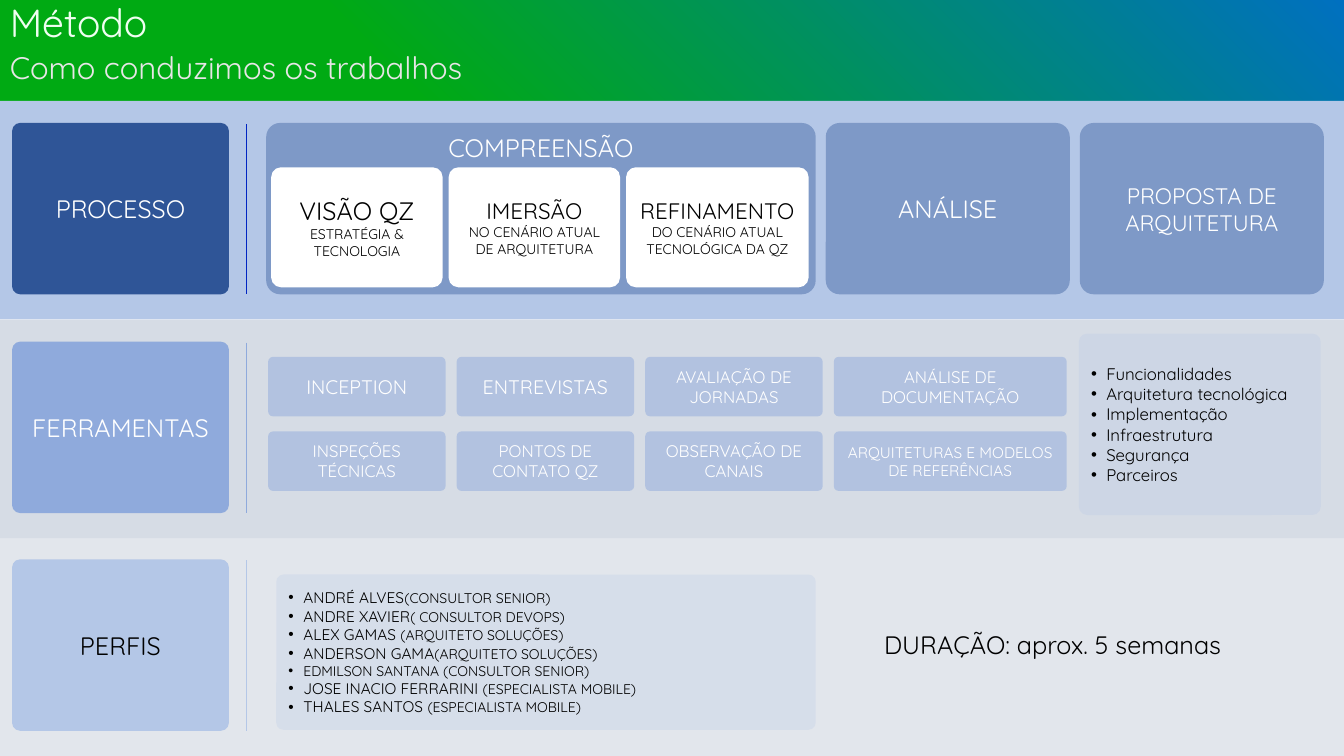
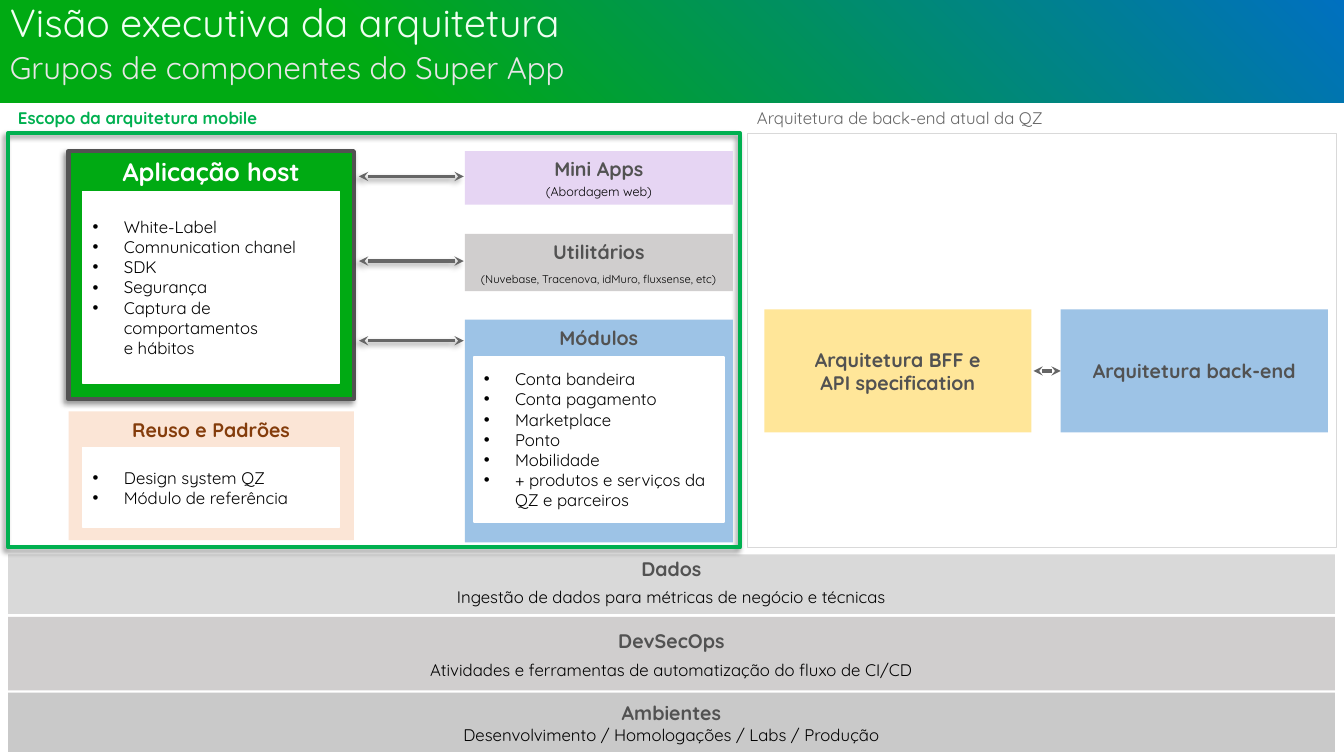
from lxml.etree import SubElement
from pptx import Presentation
from pptx.dml.color import RGBColor
from pptx.enum.shapes import MSO_CONNECTOR, MSO_SHAPE
from pptx.enum.text import MSO_ANCHOR, PP_ALIGN
from pptx.oxml import parse_xml
from pptx.oxml.ns import nsdecls, qn
from pptx.util import Inches, Pt

FONT = "Quicksand"
WIDTH, HEIGHT = 13.33, 7.5
WHITE, BLACK, GREY, DARK = "FFFFFF", "000000", "666666", "525252"
GREEN, LINE_GREEN, BLUE = "00AA13", "00B050", "0070C0"
NAVY, STEEL, SKY, MIST = "2F5597", "8FAADC", "B4C7E7", "D6DCE5"
CYAN, SILVER, SMOKE = "9DC3E6", "D0CECE", "D9D9D9"
TOP, MIDDLE = MSO_ANCHOR.TOP, MSO_ANCHOR.MIDDLE
LEFT, CENTER = PP_ALIGN.LEFT, PP_ALIGN.CENTER


def rgb(value):
    """Turn a hex string into a colour."""
    return RGBColor.from_string(value)


def write(sp, paragraphs, size, color, bold=False, align=CENTER, anchor=MIDDLE,
          indent=None, spacing=None):
    """Write paragraphs, each a string or a list of (text, size) runs."""
    tf = sp.text_frame
    tf.word_wrap = True
    tf.vertical_anchor = anchor
    for i, item in enumerate(paragraphs):
        p = tf.paragraphs[0] if i == 0 else tf.add_paragraph()
        p.alignment = align
        if spacing:
            p.line_spacing = spacing
        if indent:
            pPr = p._p.get_or_add_pPr()
            pPr.set("marL", str(Inches(indent)))
            pPr.set("indent", str(-Inches(indent)))
            SubElement(pPr, qn("a:buFont"), typeface="Arial")
            SubElement(pPr, qn("a:buChar"), char="•")
        parts = [(item, size)] if isinstance(item, str) else item
        p.text = parts[0][0]
        for text, _ in parts[1:]:
            p.add_run().text = text
        sizes = [part[1] for part in parts] if len(parts) > 1 else [parts[0][1]] * len(p.runs)
        for r, run_size in zip(p.runs, sizes):
            r.font.name = FONT
            r.font.size = Pt(run_size)
            r.font.bold = bold
            r.font.color.rgb = rgb(color)


def add_text(s, box, text, size, color, **style):
    """Add a text box holding one paragraph."""
    tb = s.shapes.add_textbox(*map(Inches, box))
    write(tb, [text], size, color, **style)


def cast_shadow(effects):
    """Add the soft outer shadow to an effect list."""
    shadow = SubElement(effects, qn("a:outerShdw"), blurRad=str(Pt(4)), dist=str(Pt(3)),
                        dir="8100000", algn="tr", rotWithShape="0")
    tint = SubElement(shadow, qn("a:srgbClr"), val=BLACK)
    SubElement(tint, qn("a:alpha"), val="40000")


def add_box(s, box, fill=None, alpha=100, line=None, weight=1, corner=None, shadow=False):
    """Add a rectangle, rounded when a corner ratio is given."""
    kind = MSO_SHAPE.ROUNDED_RECTANGLE if corner else MSO_SHAPE.RECTANGLE
    sp = s.shapes.add_shape(kind, *map(Inches, box))
    if corner:
        sp.adjustments[0] = corner
    if fill:
        sp.fill.solid()
        sp.fill.fore_color.rgb = rgb(fill)
        if alpha < 100:
            tint = sp._element.spPr.find(qn("a:solidFill"))[0]
            SubElement(tint, qn("a:alpha"), val=str(alpha * 1000))
    else:
        sp.fill.background()
    if line:
        sp.line.color.rgb = rgb(line)
        sp.line.width = Pt(weight)
    else:
        sp.line.fill.background()
    sp.shadow.inherit = False
    if shadow:
        cast_shadow(sp._element.spPr.find(qn("a:effectLst")))
    return sp


def add_line(s, x1, y1, x2, y2, color, weight, arrows=False, shadow=False):
    """Add a straight line, with an arrowhead at both ends on request."""
    line = s.shapes.add_connector(MSO_CONNECTOR.STRAIGHT, *map(Inches, (x1, y1, x2, y2)))
    line.line.color.rgb = rgb(color)
    line.line.width = Pt(weight)
    spPr = line._element.spPr
    if arrows:
        for end in ("a:headEnd", "a:tailEnd"):
            SubElement(spPr.find(qn("a:ln")), qn(end), type="stealth")
    effects = SubElement(spPr, qn("a:effectLst"))
    if shadow:
        cast_shadow(effects)


def add_header(s, title, subtitle):
    """Draw the gradient band with the title and subtitle."""
    band = add_box(s, (0, -0.01, WIDTH, 1.03))
    spPr = band._element.spPr
    spPr.replace(spPr.find(qn("a:noFill")), parse_xml(
        f'<a:gradFill {nsdecls("a")} rotWithShape="1"><a:gsLst>'
        f'<a:gs pos="29000"><a:srgbClr val="{GREEN}"/></a:gs>'
        f'<a:gs pos="100000"><a:srgbClr val="{BLUE}"/></a:gs></a:gsLst>'
        '<a:path path="circle"><a:fillToRect t="100000" r="100000"/></a:path></a:gradFill>'))
    add_text(s, (0, 0, 10, 0.5), title, 28, "EFFFF1", align=LEFT, spacing=0.9)
    add_text(s, (0, 0.5, 10, 0.4), subtitle, 22.2, "E7E6E6", align=LEFT, anchor=TOP, spacing=0.8)


def add_row(s, top, label, band, alpha, card, color, divider):
    """Draw a full-width row with its label card and divider."""
    add_box(s, (0, top, WIDTH, 2.17), band, alpha)
    sp = add_box(s, (0.12, top + 0.22, 2.15, 1.7), card, corner=0.046)
    write(sp, [label], 18, color)
    add_line(s, 2.44, top + 0.23, 2.44, top + 1.92, divider, 0.5)


def add_process(s, top):
    """Fill the process row with phases and comprehension steps."""
    phases = [(2.64, 5.45, "COMPREENSÃO", 18, TOP), (8.19, 2.42, "ANÁLISE", 18, MIDDLE),
              (10.71, 2.42, "PROPOSTA DE\vARQUITETURA", 16, MIDDLE)]
    for x, w, text, size, anchor in phases:
        sp = add_box(s, (x, top + 0.22, w, 1.7), NAVY, 40, corner=0.081)
        write(sp, [text], size, WHITE, anchor=anchor)
    steps = [(1.7, "VISÃO QZ", 18, "ESTRATÉGIA & TECNOLOGIA"),
             (1.7, "IMERSÃO", 16, "NO CENÁRIO ATUAL DE ARQUITETURA"),
             (1.81, "REFINAMENTO", 16, "DO CENÁRIO ATUAL TECNOLÓGICA DA QZ")]
    for i, (w, name, size, detail) in enumerate(steps):
        sp = add_box(s, (2.69 + i * 1.76, top + 0.66, w, 1.19), WHITE, corner=0.081)
        write(sp, [[(name, size)], [(detail, 10)]], size, BLACK)


def add_tools(s, top):
    """Fill the tools row with a grid of tools and the deliverables list."""
    grid = [[("INCEPTION", 14), ("ENTREVISTAS", 14), ("AVALIAÇÃO DE JORNADAS", 12),
             ("ANÁLISE DE DOCUMENTAÇÃO", 12)],
            [("INSPEÇÕES TÉCNICAS", 12), ("PONTOS DE CONTATO QZ", 12),
             ("OBSERVAÇÃO DE CANAIS", 12), ("ARQUITETURAS E MODELOS DE REFERÊNCIAS", 11)]]
    for row, tools in enumerate(grid):
        for col, (text, size) in enumerate(tools):
            box = (2.66 + col * 1.87, top + 0.37 + row * 0.74, 2.31 if col == 3 else 1.76, 0.59)
            write(add_box(s, box, STEEL, 50, corner=0.081), [text], size, WHITE)
    sp = add_box(s, (10.7, top + 0.14, 2.4, 1.8), SKY, 25, corner=0.046)
    write(sp, ["Funcionalidades", "Arquitetura tecnológica", "Implementação",
               "Infraestrutura", "Segurança", "Parceiros"], 12, BLACK, align=LEFT, indent=0.15)


def add_profiles(s, top):
    """Fill the profiles row with the team and the duration."""
    team = [("ANDRÉ ALVES", "(CONSULTOR SENIOR)"), ("ANDRE XAVIER", "( CONSULTOR DEVOPS)"),
            ("ALEX GAMAS ", "(ARQUITETO SOLUÇÕES)"), ("ANDERSON GAMA", "(ARQUITETO SOLUÇÕES)"),
            ("EDMILSON SANTANA (CONSULTOR SENIOR)",),
            ("JOSE INACIO FERRARINI ", "(ESPECIALISTA MOBILE)"),
            ("THALES SANTOS ", "(ESPECIALISTA MOBILE)")]
    people = [list(zip(parts, (11, 10) if len(parts) > 1 else (10,))) for parts in team]
    sp = add_box(s, (2.74, top + 0.37, 5.35, 1.54), SKY, 25, corner=0.046)
    write(sp, people, 10, BLACK, align=LEFT, indent=0.15)
    add_text(s, (8.67, top + 0.86, 4.29, 0.4), "DURAÇÃO: aprox. 5 semanas", 18, BLACK,
             align=LEFT, anchor=TOP)


def add_card(s, box, fill, title, title_dy, detail, detail_dy, size):
    """Draw a filled card with a bold title and one line of detail."""
    x, y, w, _ = box
    add_box(s, box, fill)
    add_text(s, (x, y + title_dy, w, 0.34), title, 14, DARK, bold=True, anchor=TOP)
    add_text(s, (x, y + detail_dy, w, 0.3), detail, size, BLACK, anchor=TOP)


def add_panel(s, box, fill, title, size, color, title_dy, inner, items, **frame):
    """Draw a titled panel with a white bullet list at the inner offset and height."""
    x, y, w, _ = box
    dx, dy, h = inner
    add_box(s, box, fill, **frame)
    add_text(s, (x, y + title_dy, w, 0.4), title, size, color, bold=True, anchor=TOP)
    sp = add_box(s, (x + dx, y + dy, w - 2 * dx, h), WHITE, line=WHITE)
    write(sp, items, 12, BLACK, align=LEFT, indent=0.31)


def add_mobile(s, x, y):
    """Draw the mobile architecture scope."""
    add_text(s, (x, y - 0.3, 2.83, 0.3), "Escopo da arquitetura mobile", 12, LINE_GREEN,
             bold=True, align=LEFT, anchor=TOP)
    add_box(s, (x, y, 7.26, 4.11), line=LINE_GREEN, weight=3, shadow=True)
    left, right = x + 0.6, x + 4.53
    add_panel(s, (left, y + 0.18, 2.83, 2.46), GREEN, "Aplicação host", 18, WHITE, 0,
              (0.14, 0.4, 1.9),
              ["White-Label", "Comnunication chanel", "SDK", "Segurança",
               "Captura de comportamentos\ve hábitos"], line=DARK, weight=3, shadow=True)
    add_panel(s, (left, y + 2.76, 2.83, 1.28), "FBE5D6", "Reuso e Padrões", 14, "843C0B", 0.02,
              (0.14, 0.36, 0.79), ["Design system QZ", "Módulo de referência"])
    add_panel(s, (right, y + 1.85, 2.66, 2.21), CYAN, "Módulos", 14, DARK, 0.01,
              (0.09, 0.37, 1.64),
              ["Conta bandeira", "Conta pagamento", "Marketplace", "Ponto", "Mobilidade",
               "+ produtos e serviços da QZ e parceiros"])
    add_card(s, (right, y + 0.18, 2.66, 0.53), "E6D5F3", "Mini Apps", 0.01,
             "(Abordagem web)", 0.28, 9)
    add_card(s, (right, y + 1, 2.66, 0.57), SILVER, "Utilitários", 0.01,
             "(Nuvebase, Tracenova, idMuro, fluxsense, etc)", 0.33, 8)
    for dy in (0.43, 1.27, 2.06):
        add_line(s, x + 3.48, y + dy, x + 4.52, y + dy, GREY, 2.25, arrows=True, shadow=True)


def add_backend(s, x, y):
    """Draw the current back-end architecture."""
    add_text(s, (x, y - 0.3, 3.76, 0.3), "Arquitetura de back-end atual da QZ", 12, GREY,
             align=LEFT, anchor=TOP)
    add_box(s, (x, y, 5.84, 4.11), line=SMOKE, weight=0.25)
    for dx, fill, text in ((0.17, "FFE699", "Arquitetura BFF e\vAPI specification"),
                           (3.11, CYAN, "Arquitetura back-end")):
        sp = add_box(s, (x + dx, y + 1.75, 2.65, 1.22), fill)
        write(sp, [text], 14, DARK, bold=True)
    add_line(s, x + 2.84, y + 2.36, x + 3.11, y + 2.36, GREY, 2.25, arrows=True)


def add_foundations(s, x, w):
    """Draw the full-width strips at the foot."""
    strips = [(5.5, 0.59, SMOKE, "Dados", -0.02,
               "Ingestão de dados para métricas de negócio e técnicas", 0.27),
              (6.12, 0.73, SILVER, "DevSecOps", 0.07,
               "Atividades e ferramentas de automatização do fluxo de CI/CD", 0.38),
              (6.87, 0.59, "C9C9C9", "Ambientes", 0.03,
               "Desenvolvimento / Homologações / Labs / Produção", 0.27)]
    for y, h, *content in strips:
        add_card(s, (x, y, w, h), *content, 12)


def build_method(s):
    """Build the method slide."""
    add_header(s, "Método", "Como conduzimos os trabalhos")
    rows = [(1, "PROCESSO", SKY, 100, NAVY, WHITE, "0024C2", add_process),
            (3.17, "FERRAMENTAS", MIST, 100, STEEL, WHITE, STEEL, add_tools),
            (5.33, "PERFIS", MIST, 70, SKY, BLACK, SKY, add_profiles)]
    for top, *look, fill_row in rows:
        add_row(s, top, *look)
        fill_row(s, top)


def build_architecture(s):
    """Build the architecture slide."""
    add_header(s, "Visão executiva da arquitetura", "Grupos de componentes do Super App")
    add_foundations(s, 0.08, 13.16)
    add_mobile(s, 0.08, 1.32)
    add_backend(s, 7.41, 1.32)


def main():
    """Build and save the presentation."""
    prs = Presentation()
    prs.slide_width, prs.slide_height = Inches(WIDTH), Inches(HEIGHT)
    for build in (build_method, build_architecture):
        build(prs.slides.add_slide(prs.slide_layouts[6]))
    prs.save("out.pptx")


if __name__ == "__main__":
    main()
